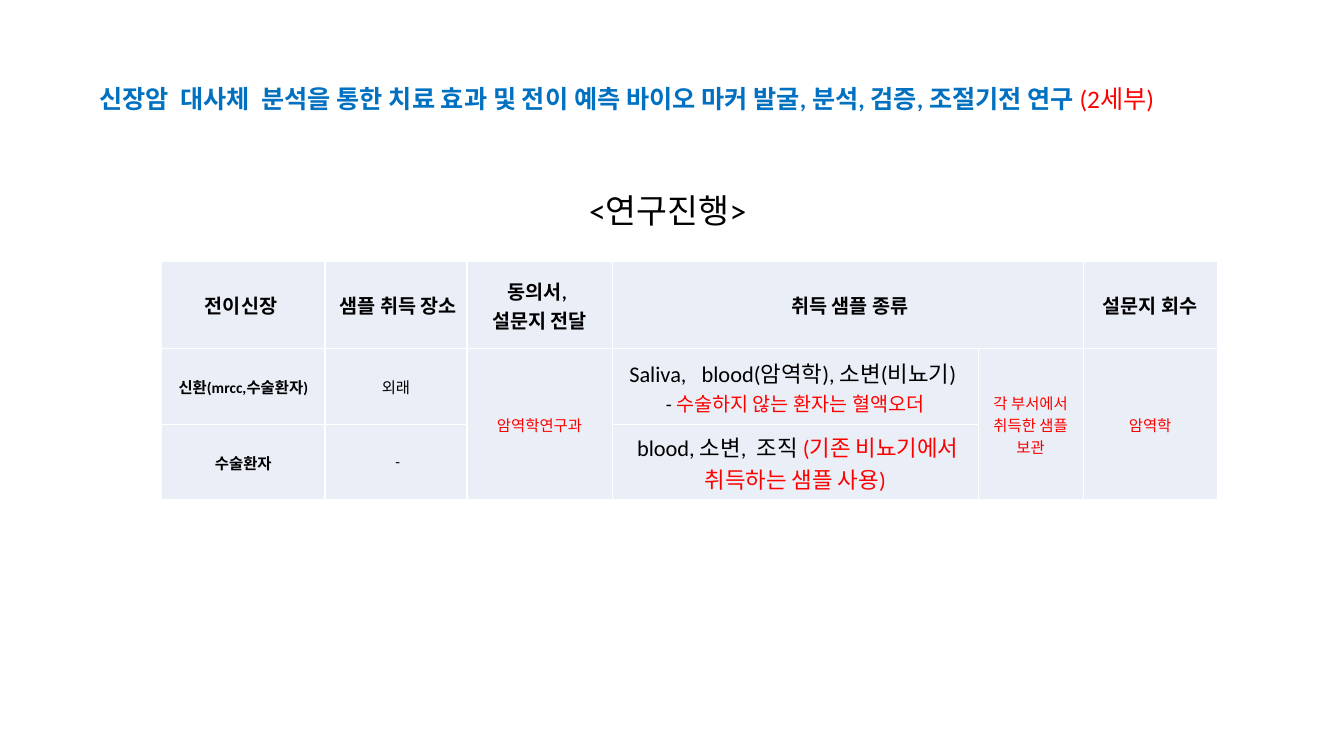
from lxml import etree
from pptx import Presentation
from pptx import util as u
from pptx.dml import color
from pptx.enum import text
from pptx.oxml import ns

COLORS = {"blue": "0070C0", "red": "FF0000", "black": "000000",
          "cell": "EAEFF7", "border": "FFFFFF"}
LATIN, KOREAN = "Calibri", "Noto Sans CJK KR"
COLUMN_WIDTHS = [116.6, 101.5, 103.7, 261.5, 74.9, 95.8]
ROW_HEIGHTS = [62.6, 54, 54]
MERGES = [(0, 3, 0, 4), (1, 2, 2, 2), (1, 4, 2, 4), (1, 5, 2, 5)]
CELL_FORMAT = {"margin_left": u.Pt(0.72), "margin_right": u.Pt(0.72),
               "margin_top": u.Pt(0.72), "margin_bottom": 0,
               "vertical_anchor": text.MSO_ANCHOR.MIDDLE}


def piece(wording, size, tint="black", bold=False, font=LATIN):
    return wording, tint, {"size": u.Pt(size), "bold": bold, "name": font}


def header(wording):
    return [piece(wording, 14, bold=True)]


def apply(target, values):
    for name, value in values.items():
        setattr(target, name, value)


def write(frame, paragraphs, paragraph_format):
    for index, pieces in enumerate(paragraphs):
        paragraph = frame.add_paragraph() if index else frame.paragraphs[0]
        apply(paragraph, paragraph_format)
        for wording, tint, font_format in pieces:
            run = paragraph.add_run()
            run.text = wording
            apply(run.font, font_format)
            run.font.color.rgb = color.RGBColor.from_string(COLORS[tint])


def add_textbox(slide, box, pieces, anchor, paragraph_format):
    shape = slide.shapes.add_textbox(*map(u.Pt, box))
    apply(shape.text_frame, {"word_wrap": True, "vertical_anchor": anchor})
    write(shape.text_frame, [pieces], paragraph_format)


def style_cell(cell):
    properties = cell._tc.get_or_add_tcPr()
    for side in ("lnL", "lnR", "lnT", "lnB"):
        line = etree.SubElement(properties, ns.qn(f"a:{side}"), w=str(u.Pt(1)))
        fill = etree.SubElement(line, ns.qn("a:solidFill"))
        etree.SubElement(fill, ns.qn("a:srgbClr"), val=COLORS["border"])
    cell.fill.solid()
    cell.fill.fore_color.rgb = color.RGBColor.from_string(COLORS["cell"])
    apply(cell, CELL_FORMAT)


def add_sample_table(slide, left, top, contents):
    frame = slide.shapes.add_table(
        len(ROW_HEIGHTS), len(COLUMN_WIDTHS), u.Pt(left), u.Pt(top),
        u.Pt(sum(COLUMN_WIDTHS)), u.Pt(sum(ROW_HEIGHTS)))
    table = frame.table
    for column, width in zip(table.columns, COLUMN_WIDTHS):
        column.width = u.Pt(width)
    for row, height in zip(table.rows, ROW_HEIGHTS):
        row.height = u.Pt(height)
    for cell in table.iter_cells():
        style_cell(cell)
    for top_row, first, bottom_row, last in MERGES:
        table.cell(top_row, first).merge(table.cell(bottom_row, last))
    for (row, column), paragraphs in contents.items():
        write(table.cell(row, column).text_frame, paragraphs,
              {"alignment": text.PP_ALIGN.CENTER})


def main():
    presentation = Presentation()
    apply(presentation, {"slide_width": u.Pt(960), "slide_height": u.Pt(540)})
    slide = presentation.slides.add_slide(presentation.slide_layouts[6])

    add_textbox(
        slide, (64, 41.8, 852, 42.5),
        [piece("신장암  대사체  분석을 통한 치료 효과 및 전이 예측 바이오 마커 발굴, "
               "분석, 검증, 조절기전 연구 ", 18, "blue", True),
         piece("(2세부)", 18, "red")],
        text.MSO_ANCHOR.BOTTOM, {"line_spacing": 1.5})
    add_textbox(
        slide, (67.7, 132, 818.6, 40), [piece("<연구진행>", 24)],
        text.MSO_ANCHOR.MIDDLE,
        {"alignment": text.PP_ALIGN.CENTER, "line_spacing": 0.9})

    add_sample_table(slide, 115.5, 186.5, {
        (0, 0): [header("전이신장 ")],
        (0, 1): [header(" 샘플 취득 장소")],
        (0, 2): [header("동의서, "), header("설문지 전달")],
        (0, 3): [header(" 취득 샘플 종류")],
        (0, 5): [header("설문지 회수")],
        (1, 0): [[piece("신환(mrcc,수술환자)", 11, bold=True)]],
        (1, 1): [[piece("외래", 11)]],
        (1, 2): [[piece("암역학연구과", 11, "red", font=KOREAN)]],
        (1, 3): [[piece("Saliva,   blood(암역학), 소변(비뇨기) ", 16)],
                 [piece("- ", 14),
                  piece("수술하지 않는 환자는 혈액오더", 14, "red")]],
        (1, 4): [[piece("각 부서에서 취득한 샘플 보관", 11, "red", font=KOREAN)]],
        (1, 5): [[piece("암역학", 11, "red")]],
        (2, 0): [[piece("수술환자", 11, bold=True, font=KOREAN)]],
        (2, 1): [[piece(" -", 11)]],
        (2, 3): [[piece(" blood, 소변,  조직 ", 16),
                  piece("(기존 비뇨기에서 취득하는 샘플 사용)", 16, "red")]],
    })
    presentation.save("out.pptx")


if __name__ == "__main__":
    main()
